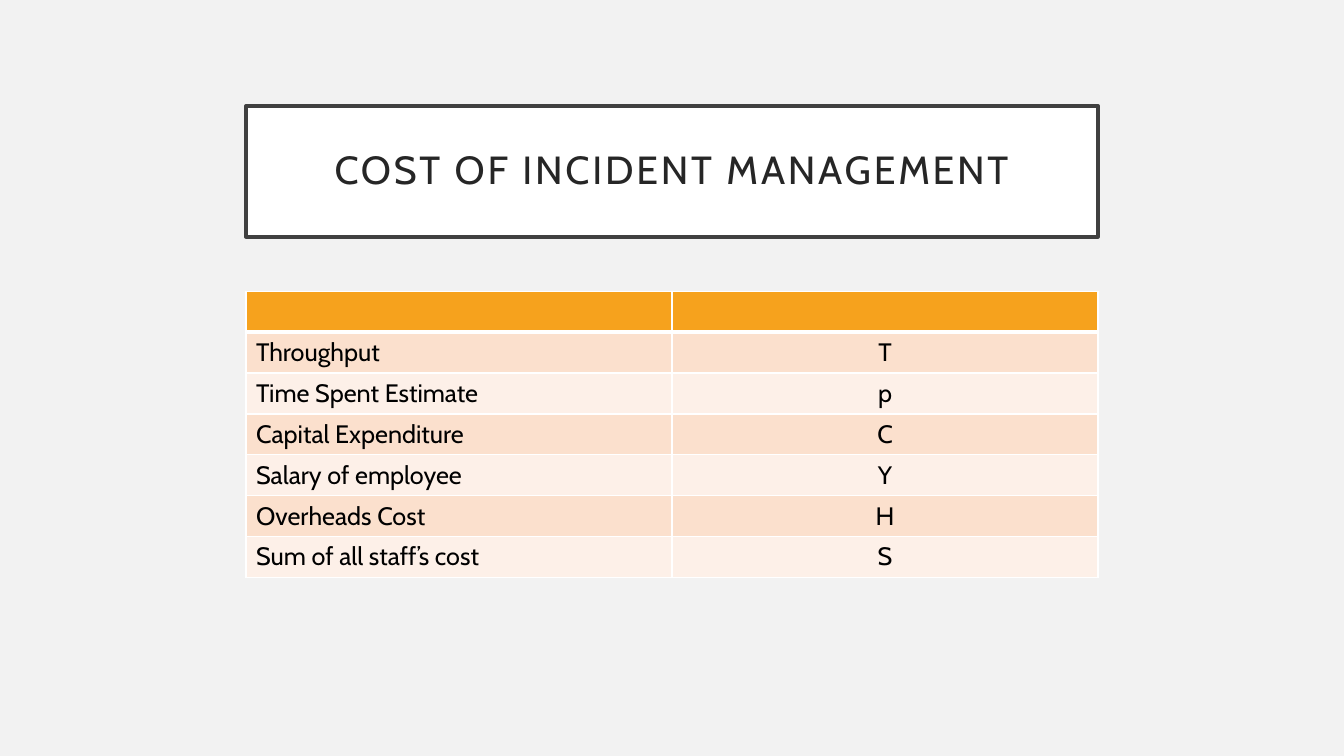
from dataclasses import dataclass

import lxml.etree
import pptx
import pptx.dml.color
import pptx.enum.text
import pptx.oxml.ns
import pptx.util

FONT = "Cabin"
HEADER_FILL = "F6A21D"
BAND_FILLS = ("FBE0CD", "FDF0E8")
BORDER = "FFFFFF"
CENTER = pptx.enum.text.PP_ALIGN.CENTER
MIDDLE = pptx.enum.text.MSO_ANCHOR.MIDDLE

prs = pptx.Presentation()
prs.slide_width = pptx.util.Inches(13.33)
prs.slide_height = pptx.util.Inches(7.5)


@dataclass
class Box:
    left: float
    top: float
    width: float
    height: float

    def emu(self) -> tuple[int, int, int, int]:
        w, h = prs.slide_width / 100, prs.slide_height / 100
        return (round(self.left * w), round(self.top * h),
                round(self.width * w), round(self.height * h))


@dataclass
class CostItem:
    label: str
    symbol: str


LEFT, WIDTH = 18.3, 63.4
ROW_HEIGHT = 5.41
TITLE_BOX = Box(LEFT, 14, WIDTH, 17.33)
ITEMS = [
    CostItem("Throughput", "T"),
    CostItem("Time Spent Estimate", "p"),
    CostItem("Capital Expenditure", "C"),
    CostItem("Salary of employee", "Y"),
    CostItem("Overheads Cost", "H"),
    CostItem("Sum of all staff’s cost", "S"),
]
TABLE_BOX = Box(LEFT, 38.53, WIDTH, ROW_HEIGHT * (len(ITEMS) + 1))


def color(value: str) -> pptx.dml.color.RGBColor:
    return pptx.dml.color.RGBColor.from_string(value)


def paint(fill, value: str) -> None:
    fill.solid()
    fill.fore_color.rgb = color(value)


def style(font, size: float, value: str) -> None:
    font.name = FONT
    font.size = pptx.util.Pt(size)
    font.bold = False
    font.color.rgb = color(value)


def add_title(s, text: str, box: Box) -> None:
    sp = s.shapes.title
    sp.left, sp.top, sp.width, sp.height = box.emu()
    paint(sp.fill, "FFFFFF")
    sp.line.color.rgb = color("404040")
    sp.line.width = pptx.util.Pt(2.5)
    tf = sp.text_frame
    tf.text = text
    tf.word_wrap = True
    tf.auto_size = pptx.enum.text.MSO_AUTO_SIZE.NONE
    tf.vertical_anchor = MIDDLE
    tf.margin_left = tf.margin_right = pptx.util.Inches(0.2)
    tf.margin_top = tf.margin_bottom = pptx.util.Inches(0.2)
    p = tf.paragraphs[0]
    p.alignment = CENTER
    p.line_spacing = 0.9
    r = p.runs[0]
    style(r.font, 28, "262626")
    r.font._element.set("spc", "200")


def set_borders(cell, top: float, bottom: float) -> None:
    tc_pr = cell._tc.get_or_add_tcPr()
    qn = pptx.oxml.ns.qn
    widths = {"a:lnL": 1, "a:lnR": 1, "a:lnT": top, "a:lnB": bottom}
    for i, (tag, width) in enumerate(widths.items()):
        ln = lxml.etree.Element(qn(tag), w=str(pptx.util.Pt(width)))
        fill = lxml.etree.SubElement(ln, qn("a:solidFill"))
        lxml.etree.SubElement(fill, qn("a:srgbClr"), val=BORDER)
        tc_pr.insert(i, ln)


def add_cost_table(s, items: list[CostItem], box: Box) -> None:
    rows = [CostItem("", "")] + items
    table = s.shapes.add_table(len(rows), 2, *box.emu()).table
    for i, item in enumerate(rows):
        for j, text in enumerate((item.label, item.symbol)):
            cell = table.cell(i, j)
            paint(cell.fill, BAND_FILLS[(i - 1) % 2] if i else HEADER_FILL)
            set_borders(cell, 3 if i == 1 else 1, 3 if i == 0 else 1)
            p = cell.text_frame.paragraphs[0]
            p.text = text
            if j == 1:
                p.alignment = CENTER
            for r in p.runs:
                style(r.font, 18, "000000")


def main() -> None:
    s = prs.slides.add_slide(prs.slide_layouts[5])
    paint(s.background.fill, "F2F2F2")
    add_title(s, "COST OF INCIDENT MANAGEMENT", TITLE_BOX)
    add_cost_table(s, ITEMS, TABLE_BOX)
    prs.save("out.pptx")


if __name__ == "__main__":
    main()
